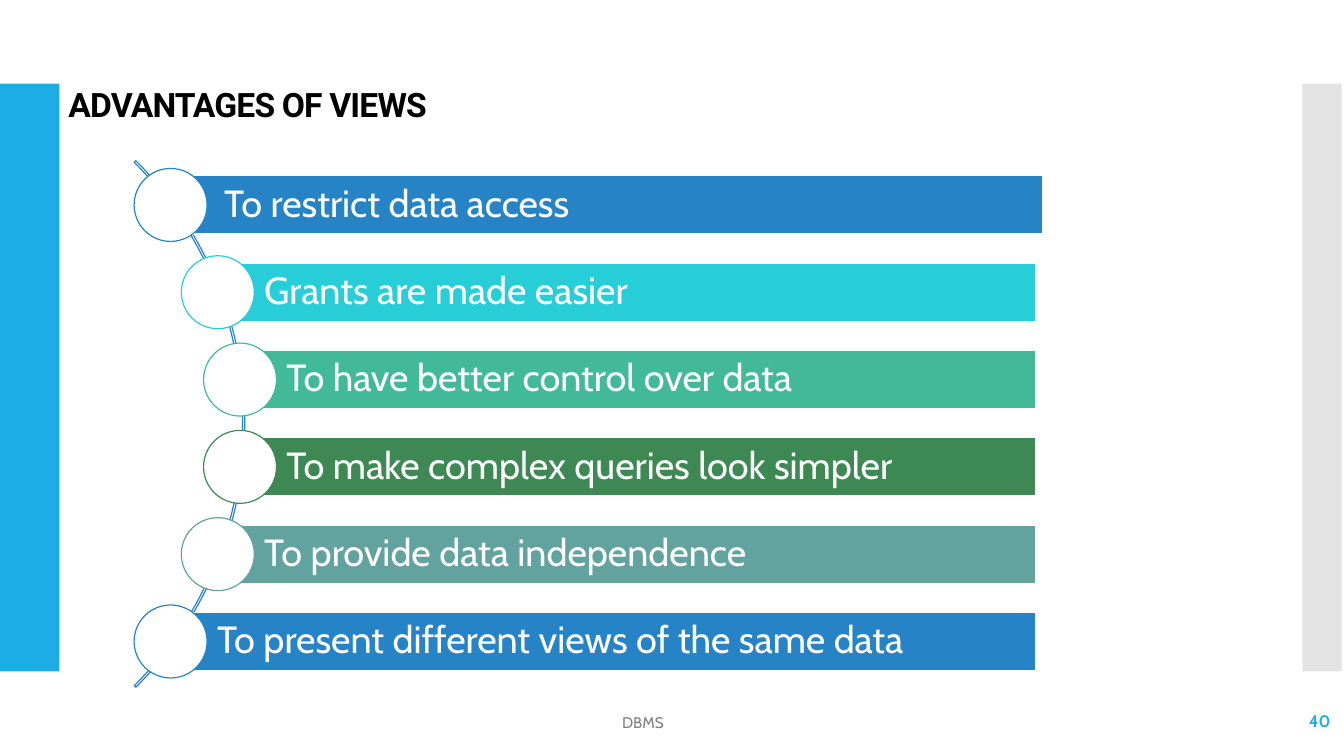
from lxml import etree
from pptx import Presentation
from pptx.dml.color import RGBColor
from pptx.enum import shapes, text
from pptx.oxml import ns
from pptx.util import Cm, Pt

WHITE = RGBColor(0xFF, 0xFF, 0xFF)
BLACK = RGBColor(0, 0, 0)
GREY = RGBColor(0x80, 0x80, 0x80)
LIGHT_GREY = RGBColor(0xC8, 0xC8, 0xC8)
SKY = RGBColor(0x1C, 0xAD, 0xE4)
BLUE = RGBColor(0x26, 0x83, 0xC6)
CYAN = RGBColor(0x27, 0xCE, 0xD7)
GREEN = RGBColor(0x42, 0xBA, 0x97)
FOREST = RGBColor(0x3E, 0x88, 0x53)
TEAL = RGBColor(0x62, 0xA3, 0x9F)

SHAPE = shapes.MSO_SHAPE
ALIGN = text.PP_ALIGN
CIRCLE = 1.84
BAR_HEIGHT = 1.47
BAR_RIGHT = 26.09
FIRST_TOP = 4.43
STEP = 2.2

ADVANTAGES = [
    ("To restrict data access", BLUE, 3.38, 0.18),
    ("Grants are made easier", CYAN, 4.57, 0),
    ("To have better control over data", GREEN, 5.13, 0),
    ("To make complex queries look simpler", FOREST, 5.13, 0),
    ("To provide data independence", TEAL, 4.57, 0),
    ("To present different views of the same data", BLUE, 3.38, 0),
]


def add_shape(s, kind, box, fill=None, line=None):
    sp = s.shapes.add_shape(kind, *(Cm(v) for v in box))
    sp.shadow.inherit = False
    if fill is None:
        sp.fill.background()
    else:
        sp.fill.solid()
        sp.fill.fore_color.rgb = fill
    if line is None:
        sp.line.fill.background()
    else:
        sp.line.color.rgb = line
        sp.line.width = Pt(0.85)
    return sp


def set_text(tf, words, size, color, align, font="Cabin", bold=False):
    tf.word_wrap = True
    tf.vertical_anchor = text.MSO_ANCHOR.MIDDLE
    p = tf.paragraphs[0]
    p.alignment = align
    r = p.add_run()
    r.text = words
    r.font.name = font
    r.font.size = Pt(size)
    r.font.bold = bold
    r.font.color.rgb = color
    return p


def add_title(s, words):
    sp = s.shapes.title
    sp.left, sp.top, sp.width, sp.height = Cm(1.47), Cm(2.18), Cm(26.52), Cm(1.02)
    tf = sp.text_frame
    p = set_text(tf, words, 24, BLACK, ALIGN.LEFT, "Roboto", True)
    tf.auto_size = text.MSO_AUTO_SIZE.NONE
    p.line_spacing = 0.9
    p.runs[0].font._element.set("spc", "-60")


def add_label(s, box, words, size, color, align, bold=False):
    sp = s.shapes.add_textbox(*(Cm(v) for v in box))
    set_text(sp.text_frame, words, size, color, align, bold=bold)


def add_side_bands(s):
    add_shape(s, SHAPE.RECTANGLE, (0, 2.11, 1.5, 14.81), SKY)
    sp = add_shape(s, SHAPE.RECTANGLE, (32.82, 2.11, 0.99, 14.81), LIGHT_GREY)
    color = sp.fill._xPr.find(".//" + ns.qn("a:srgbClr"))
    etree.SubElement(color, ns.qn("a:alpha"), val="50000")


def add_arc(s):
    sp = add_shape(s, SHAPE.BLOCK_ARC, (-12.6, 1.3, 18.77, 18.77), line=BLUE)
    for i, value in enumerate((189, 27, 0.003)):
        sp.adjustments[i] = value


def add_advantage(s, top, words, color, left, shift):
    bar_left = left + CIRCLE / 2
    box = (bar_left + shift, top, BAR_RIGHT - bar_left, BAR_HEIGHT)
    sp = add_shape(s, SHAPE.RECTANGLE, box, color, WHITE)
    tf = sp.text_frame
    tf.margin_left = Cm(1.17)
    tf.margin_top = tf.margin_right = tf.margin_bottom = Cm(0.18)
    p = set_text(tf, words, 27, WHITE, ALIGN.LEFT)
    p.line_spacing = 0.9
    circle_top = top - (CIRCLE - BAR_HEIGHT) / 2
    add_shape(s, SHAPE.OVAL, (left, circle_top, CIRCLE, CIRCLE), WHITE, color)


def main():
    prs = Presentation()
    prs.slide_width, prs.slide_height = Cm(33.87), Cm(19.05)
    s = prs.slides.add_slide(prs.slide_layouts[5])
    add_side_bands(s)
    add_title(s, "ADVANTAGES OF VIEWS")
    add_label(s, (29.54, 17.65, 4.24, 1.02), "40", 12, SKY, ALIGN.RIGHT, True)
    add_label(s, (8, 17.7, 16.41, 1.02), "DBMS", 11, GREY, ALIGN.CENTER)
    add_arc(s)
    for i, advantage in enumerate(ADVANTAGES):
        add_advantage(s, FIRST_TOP + i * STEP, *advantage)
    prs.save("out.pptx")


if __name__ == "__main__":
    main()
